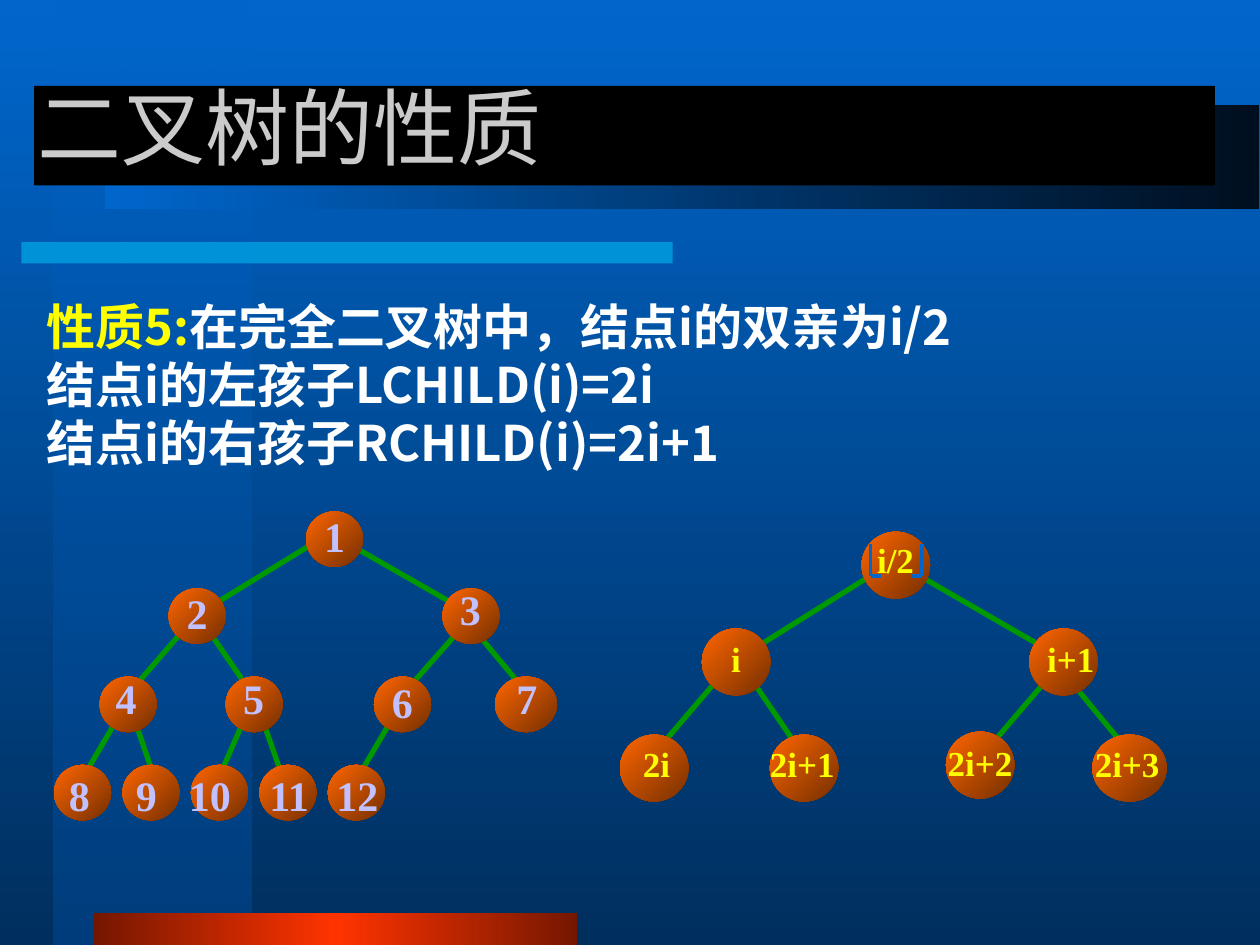
from copy import deepcopy

from lxml import etree
from pptx import Presentation, util as u
from pptx.dml.color import RGBColor
from pptx.enum import shapes, text
from pptx.oxml import ns

Cm, Pt = u.Cm, u.Pt
COLORS = {
    "blue": "0066CC", "navy": "002F5E", "band": "003E7D", "cyan": "00CCFF",
    "maroon": "751700", "red": "FF3300", "night": "000F1F", "black": "000000",
    "silver": "CBCBCB", "yellow": "FFFF00", "white": "FFFFFF", "green": "009900",
    "brown": "752F00", "orange": "FF6600", "lilac": "C1C1FF",
}
SERIF = "Times New Roman"
LEFT, CENTER = text.PP_ALIGN.LEFT, text.PP_ALIGN.CENTER


def paint(fill, names, angle=0, alpha=None):
    if len(names) == 1:
        fill.solid()
        color_formats = [fill.fore_color]
    else:
        fill.gradient()
        fill.gradient_angle = (360 - angle) % 360
        last = fill.gradient_stops[1]._gs
        for _ in names[2:]:
            last.addprevious(deepcopy(last))
        stops = list(fill.gradient_stops)
        for index, stop in enumerate(stops):
            stop.position = index / (len(stops) - 1)
        color_formats = [stop.color for stop in stops]
    for color_format, name in zip(color_formats, names):
        color_format.rgb = RGBColor.from_string(COLORS[name])
    if alpha:
        color = color_formats[0]._color._xClr
        etree.SubElement(color, ns.qn("a:alpha"), val=str(alpha * 1000))


def write(frame, runs, size, font, align=LEFT, new=False):
    paragraph = frame.add_paragraph() if new else frame.paragraphs[0]
    paragraph.alignment = align
    for words, color in runs:
        run = paragraph.add_run()
        run.text = words
        run.font.size, run.font.name, run.font.bold = Pt(size), font, size < 48
        run.font.color.rgb = RGBColor.from_string(COLORS[color])
        etree.SubElement(run._r.get_or_add_rPr(), ns.qn("a:ea"), typeface=font)
    return paragraph


presentation = Presentation()
presentation.slide_width, presentation.slide_height = Cm(25.4), Cm(19.05)
slide = presentation.slides.add_slide(presentation.slide_layouts[6])
paint(slide.background.fill, ["blue", "navy"], 90)

panels = [
    (1.07, 0, 4.01, 19.05, ["blue", "band"], 90, 50),
    (0.43, 4.88, 13.13, 0.43, ["cyan"], 0, 50),
    (1.9, 18.41, 9.73, 0.64, ["maroon", "red", "maroon"], 180, None),
    (2.11, 2.11, 23.27, 2.11, ["night", "blue"], 180, None),
    (0.69, 1.73, 23.8, 2.01, ["black"], 0, None),
]
for left, top, width, height, names, angle, alpha in panels:
    panel = slide.shapes.add_shape(
        shapes.MSO_SHAPE.RECTANGLE, Cm(left), Cm(top), Cm(width), Cm(height))
    panel.shadow.inherit = False
    panel.line.fill.background()
    paint(panel.fill, names, angle, alpha)

title = slide.shapes.add_textbox(Cm(0.51), Cm(0.94), Cm(21.59), Cm(3.18)).text_frame
title.word_wrap = True
title.vertical_anchor = text.MSO_ANCHOR.MIDDLE
write(title, [("二叉树的性质", "silver")], 48, "Noto Sans CJK JP")

body = slide.shapes.add_textbox(Cm(0.69), Cm(5.72), Cm(22.4), Cm(3.81)).text_frame
body.word_wrap = True
body.margin_top = Cm(0.27)
body_lines = [
    [("性质5:", "yellow"), ("在完全二叉树中，结点i的双亲为i/2", "white")],
    [("结点i的左孩子LCHILD(i)=2i", "white")],
    [("结点i的右孩子RCHILD(i)=2i+1", "white")],
]
for index, runs in enumerate(body_lines):
    paragraph = write(body, runs, 28, "Noto Sans CJK SC", new=index > 0)
    paragraph.line_spacing = Pt(33.3)

numbered_tree = {
    "edges": [
        (7.09, 11, 9.4, 12.32), (6.48, 10.85, 4.09, 12.32),
        (9.63, 12.78, 10.54, 13.87), (9.4, 12.55, 8.23, 13.87),
        (4.09, 12.55, 5, 13.87), (3.63, 12.78, 2.49, 14.1),
        (8, 14.33, 7.09, 15.88), (5.23, 14.33, 5.69, 15.65),
        (5, 14.33, 4.32, 15.88), (2.72, 14.53, 3.18, 15.88),
        (2.46, 14.33, 1.55, 15.88),
    ],
    "nodes": [(1.09 + 1.38 * i, 15.42, 1.15, "") for i in range(5)] + [
        (2.01, 13.64, 1.15, ""), (4.55, 13.64, 1.15, ""),
        (7.54, 13.64, 1.15, "6"), (9.98, 13.64, 1.25, ""),
        (3.4, 11.86, 1.15, "2"), (8.92, 11.86, 1.15, ""),
        (6.17, 10.31, 1.15, "1"),
    ],
    "labels": [
        ("7", 10.16, 13.56, 0.94, LEFT), ("5", 4.65, 13.56, 0.94, LEFT),
        ("4", 2.08, 13.56, 0.94, LEFT), ("3", 8.99, 11.76, 0.99, CENTER),
        ("8", 1.14, 15.52, 0.91, LEFT), ("9", 2.49, 15.52, 0.91, LEFT),
        ("10", 3.56, 15.52, 1.35, LEFT), ("11", 5.18, 15.52, 1.35, LEFT),
        ("12", 6.53, 15.52, 1.55, LEFT),
    ],
    "brackets": [],
    "node_height": 1.12, "label_height": 1.14, "size": 24, "color": "lilac",
}
formula_tree = {
    "edges": [
        (18.54, 11.61, 21.31, 13.21), (17.83, 11.43, 14.99, 13.21),
        (21.59, 13.74, 22.68, 15.06), (21.31, 13.46, 19.94, 15.06),
        (14.99, 13.46, 16.08, 15.06), (14.43, 13.74, 13.06, 15.34),
    ],
    "nodes": [
        (12.5, 14.81, 1.38, ""), (15.52, 14.81, 1.38, ""),
        (19.07, 14.75, 1.38, "2i+2"), (22.02, 14.81, 1.5, ""),
        (14.15, 12.67, 1.38, "i"), (20.75, 12.67, 1.38, ""),
        (17.37, 10.72, 1.38, ""),
    ],
    "labels": [
        ("2i+3", 21.82, 14.96, 2.11, LEFT), ("2i+1", 15.27, 14.96, 2.11, LEFT),
        ("2i", 12.5, 14.96, 1.47, CENTER), ("i+1", 20.52, 12.85, 2.13, CENTER),
        ("i/2", 17.32, 10.85, 1.47, CENTER),
    ],
    "brackets": [
        (17.55, 10.97, 17.55, 11.61), (17.55, 11.61, 17.75, 11.61),
        (18.59, 10.97, 18.59, 11.61), (18.39, 11.61, 18.59, 11.61),
    ],
    "node_height": 1.35, "label_height": 0.99, "size": 20, "color": "yellow",
}

for tree in (numbered_tree, formula_tree):
    connectors = []
    for key, color, weight in (("edges", "green", 3), ("brackets", "blue", 2)):
        for ends in tree[key]:
            connector = slide.shapes.add_connector(
                shapes.MSO_CONNECTOR.STRAIGHT, *[Cm(value) for value in ends])
            connector.line.width = Pt(weight)
            connector.line.color.rgb = RGBColor.from_string(COLORS[color])
            etree.SubElement(connector._element.spPr, ns.qn("a:effectLst"))
            connectors.append(connector)

    frames = []
    for left, top, width, label in tree["nodes"]:
        node = slide.shapes.add_shape(
            shapes.MSO_SHAPE.OVAL, Cm(left), Cm(top), Cm(width), Cm(tree["node_height"]))
        node.shadow.inherit = False
        node.line.fill.background()
        paint(node.fill, ["brown", "orange"], 225)
        if label:
            node.text_frame.vertical_anchor = text.MSO_ANCHOR.MIDDLE
            frames.append((node.text_frame, label, CENTER))
    for label, left, top, width, align in tree["labels"]:
        box = slide.shapes.add_textbox(
            Cm(left), Cm(top), Cm(width), Cm(tree["label_height"]))
        frames.append((box.text_frame, label, align))
    for frame, label, align in frames:
        frame.word_wrap = False
        frame.margin_top = 0
        write(frame, [(label, tree["color"])], tree["size"], SERIF, align)

    for connector in connectors[len(tree["edges"]):]:
        slide.shapes._spTree.append(connector._element)

presentation.save("out.pptx")
